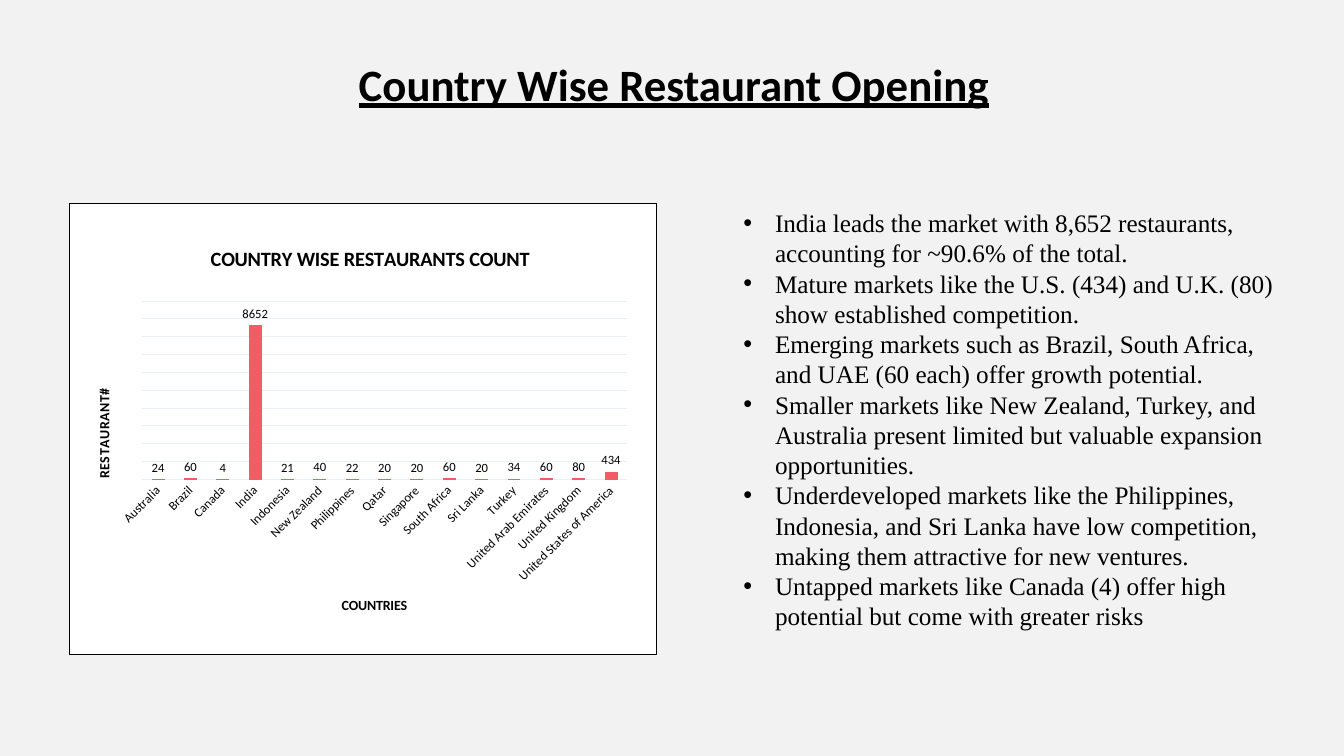
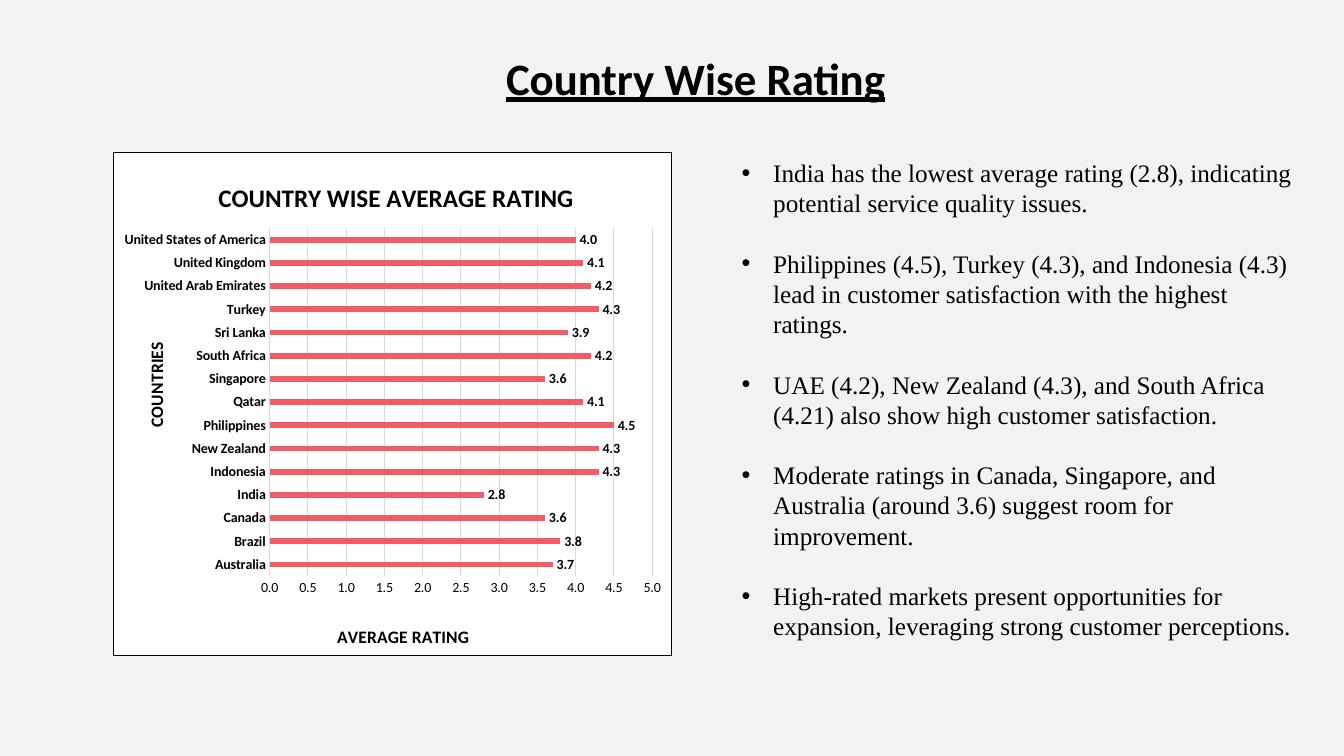
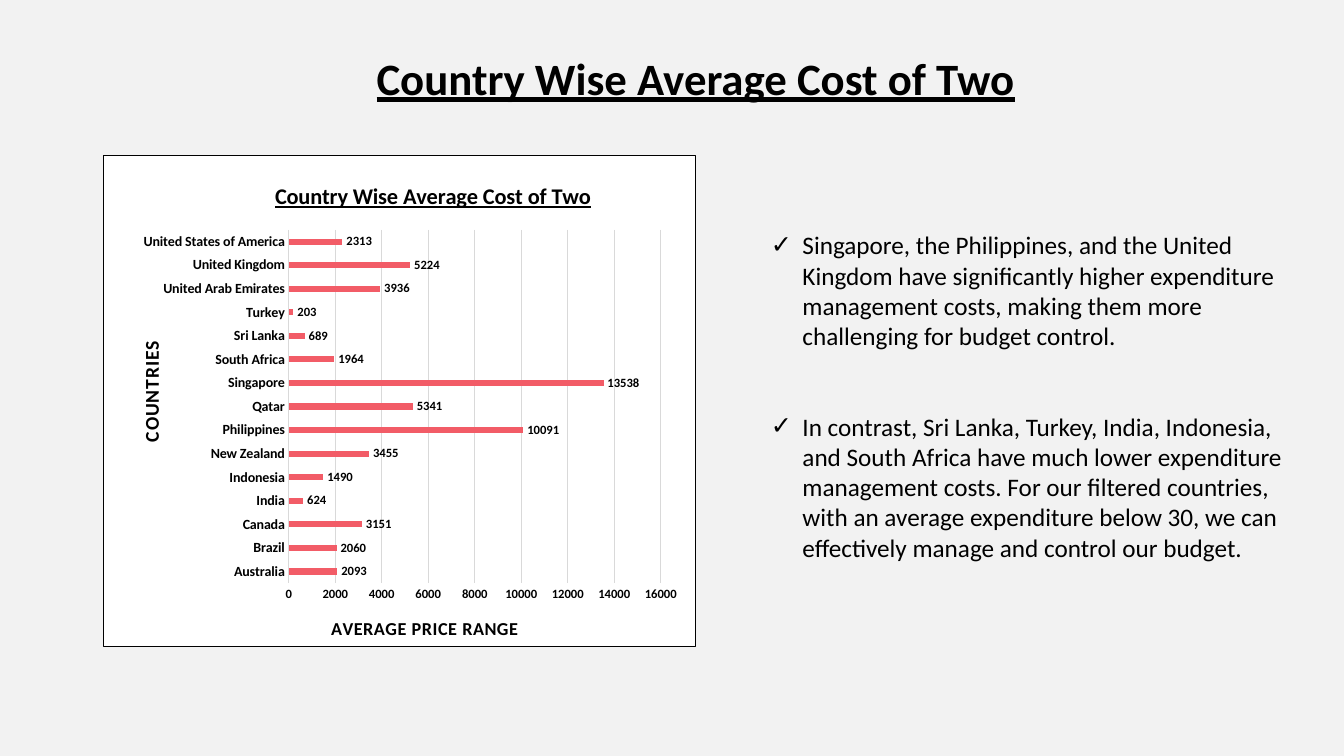
from lxml.etree import SubElement
from pptx import Presentation
from pptx.chart.data import CategoryChartData
from pptx.dml.color import RGBColor
from pptx.enum.chart import XL_CHART_TYPE, XL_LABEL_POSITION, XL_TICK_MARK
from pptx.enum.text import MSO_AUTO_SIZE, PP_ALIGN
from pptx.oxml import parse_xml
from pptx.oxml.ns import nsdecls, qn
from pptx.util import Pt

COLORS = {
    "background": "F2F2F2",
    "panel": "FFFFFF",
    "text": "000000",
    "bar": "F25C67",
    "grid": "D9D9D9",
    "pale_grid": "E9EEF8",
}
SANS, SERIF = "Calibri", "Times New Roman"
LINE_PITCH = 21.6
BULLET_INDENT = 22.5
QUARTER_TURN = -5400000
EIGHTH_TURN = -2700000

COUNTRIES = [
    "Australia", "Brazil", "Canada", "India", "Indonesia", "New Zealand",
    "Philippines", "Qatar", "Singapore", "South Africa", "Sri Lanka", "Turkey",
    "United Arab Emirates", "United Kingdom", "United States of America",
]

# Boxes are (left, top, width, height) in points. Places inside a chart are
# fractions of it: (x, y) for titles, (x, y, width, height) for the plot.
# Chart titles are (text, size, place, letter spacing).
SLIDES = [
    {
        "title": ("Country Wise Restaurant Opening", (240, 36.7, 480, 46)),
        "bullets": {
            "box": (524, 144.7, 402, 312.5), "font": SERIF, "mark": "•", "gap": 0,
            "items": [
                "India leads the market with 8,652 restaurants, accounting for ~90.6% of the total.",
                "Mature markets like the U.S. (434) and U.K. (80) show established competition.",
                "Emerging markets such as Brazil, South Africa, and UAE (60 each) offer growth potential.",
                "Smaller markets like New Zealand, Turkey, and Australia present limited but valuable "
                "expansion opportunities.",
                "Underdeveloped markets like the Philippines, Indonesia, and Sri Lanka have low "
                "competition, making them attractive for new ventures.",
                "Untapped markets like Canada (4) offer high potential but come with greater risks",
            ],
        },
        "chart": {
            "box": (49, 144.7, 420, 323.5),
            "type": XL_CHART_TYPE.COLUMN_CLUSTERED, "gap": 150, "overlap": 0,
            "values": [24, 60, 4, 8652, 21, 40, 22, 20, 20, 60, 20, 34, 60, 80, 434],
            "format": "0", "scale": (10000, 1000), "grid": "pale_grid",
            "plot": (0.124, 0.217, 0.827, 0.395),
            "title": ("COUNTRY WISE RESTAURANTS COUNT", 14.5, (0.235, 0.085), 0),
            "category_title": ("COUNTRIES", 10, (0.46, 0.865), 0),
            "value_title": ("RESTAURANT#", 10, (0.04, 0.405), 50),
            "category_font": (9, False), "value_font": None, "label_font": (9, False),
            "label_skip": 1,
        },
    },
    {
        "title": ("Country Wise Rating", (255.5, 32.4, 480, 46)),
        "bullets": {
            "box": (522.7, 108.7, 414, 356.4), "font": SERIF, "mark": "•", "gap": 1,
            "items": [
                "India has the lowest average rating (2.8), indicating potential service quality issues.",
                "Philippines (4.5), Turkey (4.3), and Indonesia (4.3) lead in customer satisfaction "
                "with the highest ratings.",
                "UAE (4.2), New Zealand (4.3), and South Africa (4.21) also show high customer satisfaction.",
                "Moderate ratings in Canada, Singapore, and Australia (around 3.6) suggest room for "
                "improvement.",
                "High-rated markets present opportunities for expansion, leveraging strong customer "
                "perceptions.",
            ],
        },
        "chart": {
            "box": (80.6, 108.7, 399.6, 360),
            "type": XL_CHART_TYPE.BAR_CLUSTERED, "gap": 287, "overlap": -73,
            "values": [3.7, 3.8, 3.6, 2.8, 4.3, 4.3, 4.5, 4.1, 3.6, 4.2, 3.9, 4.3, 4.2, 4.1, 4],
            "format": "0.0", "scale": (5, 0.5), "grid": "grid",
            "plot": (0.28, 0.15, 0.685, 0.692),
            "title": ("COUNTRY WISE AVERAGE RATING", 18, (0.18, 0.045), 0),
            "category_title": ("COUNTRIES", 12.5, (0.05, 0.37), 0),
            "value_title": ("AVERAGE RATING", 12.5, (0.395, 0.933), 0),
            "category_font": (10, True), "value_font": (10, False), "label_font": (10, True),
            "label_skip": 2,
        },
    },
    {
        "title": ("Country Wise Average Cost of Two", (255.5, 32.4, 480, 46)),
        "bullets": {
            "box": (543.6, 160.5, 398, 247), "font": SANS, "mark": "✓", "gap": 2,
            "items": [
                "Singapore, the Philippines, and the United Kingdom have significantly higher "
                "expenditure management costs, making them more challenging for budget control.",
                "In contrast, Sri Lanka, Turkey, India, Indonesia, and South Africa have much lower "
                "expenditure management costs. For our filtered countries, with an average "
                "expenditure below 30, we can effectively manage and control our budget.",
            ],
        },
        "chart": {
            "box": (73.4, 110.9, 424, 351.4),
            "type": XL_CHART_TYPE.BAR_CLUSTERED, "gap": 287, "overlap": -73,
            "values": [2093, 2060, 3151, 624, 1490, 3455, 10091, 5341, 13538, 1964, 689, 203,
                       3936, 5224, 2313],
            "format": "0", "scale": (16000, 2000), "grid": "grid",
            "plot": (0.313, 0.151, 0.628, 0.72),
            "title": ("Country Wise Average Cost of Two", 16, (0.283, 0.043), 0),
            "title_underline": True,
            "category_title": ("COUNTRIES", 14, (0.052, 0.37), 50),
            "value_title": ("AVERAGE PRICE RANGE", 13, (0.379, 0.933), 50),
            "category_font": (10, True), "value_font": (9, True), "label_font": (9, True),
            "label_skip": 1,
        },
    },
]


def color(name):
    return RGBColor.from_string(COLORS[name])


def style_font(font, size, bold=False, name=SANS):
    font.name, font.size, font.bold = name, Pt(size), bold
    font.color.rgb = color("text")


def add_text_frame(slide, box):
    frame = slide.shapes.add_textbox(*map(Pt, box)).text_frame
    frame.word_wrap = True
    frame.auto_size = MSO_AUTO_SIZE.SHAPE_TO_FIT_TEXT
    return frame


def add_title(slide, text, box):
    paragraph = add_text_frame(slide, box).paragraphs[0]
    paragraph.text = text
    paragraph.alignment = PP_ALIGN.CENTER
    paragraph._p.get_or_add_pPr().set("marL", str(Pt(3)))
    style_font(paragraph.font, 32, True)
    paragraph.font.underline = True


def add_bullets(slide, box, items, font, mark, gap):
    """Add a bulleted list; gap is the number of empty lines between items."""
    frame = add_text_frame(slide, box)
    for index, item in enumerate(items):
        paragraph = frame.add_paragraph() if index else frame.paragraphs[0]
        paragraph.text = item
        paragraph.line_spacing = Pt(LINE_PITCH)
        if index:
            paragraph.space_before = Pt(gap * LINE_PITCH)
        properties = paragraph._p.get_or_add_pPr()
        properties.set("marL", str(Pt(BULLET_INDENT)))
        properties.set("indent", str(-Pt(BULLET_INDENT)))
        SubElement(properties, qn("a:buFont")).set("typeface", "Arial")
        SubElement(properties, qn("a:buChar")).set("char", mark)
        style_font(paragraph.font, 18, name=font)


def set_layout(element, place, inner=False):
    """Pin a chart title or plot area at fractions of the chart."""
    for old in element.findall(qn("c:layout")):
        element.remove(old)
    settings = [("layoutTarget", "inner")] if inner else []
    settings += [("xMode", "edge"), ("yMode", "edge")]
    settings += zip("xywh", place)
    parts = "".join(f'<c:{tag} val="{value}"/>' for tag, value in settings)
    layout = parse_xml(
        f'<c:layout {nsdecls("c")}><c:manualLayout>{parts}</c:manualLayout></c:layout>')
    text = element.find(qn("c:tx"))
    if text is None:
        element.insert(0, layout)
    else:
        text.addnext(layout)


def style_chart_title(title, text, size, place, spacing, upright=False, underline=False):
    frame = title.text_frame
    frame.text = text
    paragraph = frame.paragraphs[0]
    style_font(paragraph.font, size, True)
    paragraph.font.underline = underline
    paragraph._p.pPr.find(qn("a:defRPr")).set("spc", str(spacing))
    frame._txBody.bodyPr.set("rot", str(QUARTER_TURN if upright else 0))
    frame._txBody.bodyPr.set("vert", "horz")
    set_layout(title._element, place)


def frame_chart(chart):
    """Give the chart area its white fill and thin outline."""
    chart._chartSpace.find(qn("c:chart")).addnext(parse_xml(
        f'<c:spPr {nsdecls("c", "a")}>'
        f'<a:solidFill><a:srgbClr val="{COLORS["panel"]}"/></a:solidFill>'
        f'<a:ln w="{Pt(0.75)}"><a:solidFill><a:srgbClr val="{COLORS["text"]}"/></a:solidFill></a:ln>'
        '</c:spPr>'))


def style_axes(chart, spec, is_column):
    category_axis, value_axis = chart.category_axis, chart.value_axis
    for axis, name, upright in ((category_axis, "category", not is_column),
                                (value_axis, "value", is_column)):
        axis.major_tick_mark = axis.minor_tick_mark = XL_TICK_MARK.NONE
        axis.format.line.fill.background()
        style_chart_title(axis.axis_title, *spec[f"{name}_title"], upright=upright)
        if spec[f"{name}_font"]:
            style_font(axis.tick_labels.font, *spec[f"{name}_font"])
        else:
            axis.visible = False

    category_axis.has_major_gridlines = False
    if is_column:
        category_axis._element.txPr.bodyPr.set("rot", str(EIGHTH_TURN))
    offset = category_axis._element.find(qn("c:lblOffset"))
    offset.addnext(parse_xml(f'<c:tickLblSkip {nsdecls("c")} val="{spec["label_skip"]}"/>'))

    value_axis.minimum_scale = 0
    value_axis.maximum_scale, value_axis.major_unit = spec["scale"]
    value_axis.tick_labels.number_format = spec["format"]
    value_axis.tick_labels.number_format_is_linked = False
    value_axis.has_major_gridlines = True
    grid_line = value_axis.major_gridlines.format.line
    grid_line.color.rgb = color(spec["grid"])
    grid_line.width = Pt(0.75)


def style_bars(plot, spec):
    plot.gap_width, plot.overlap = spec["gap"], spec["overlap"]
    plot.vary_by_categories = False
    fill = plot.series[0].format.fill
    fill.solid()
    fill.fore_color.rgb = color("bar")
    plot.has_data_labels = True
    labels = plot.data_labels
    labels.show_value = True
    labels.position = XL_LABEL_POSITION.OUTSIDE_END
    labels.number_format = spec["format"]
    labels.number_format_is_linked = False
    style_font(labels.font, *spec["label_font"])


def add_country_chart(slide, spec):
    data = CategoryChartData()
    data.categories = COUNTRIES
    data.add_series("Series 1", spec["values"])
    chart = slide.shapes.add_chart(spec["type"], *map(Pt, spec["box"]), data).chart
    chart.has_legend = False
    style_font(chart.font, 10)
    frame_chart(chart)
    style_chart_title(chart.chart_title, *spec["title"],
                      underline=spec.get("title_underline", False))
    style_axes(chart, spec, spec["type"] == XL_CHART_TYPE.COLUMN_CLUSTERED)
    style_bars(chart.plots[0], spec)
    set_layout(chart._chartSpace.chart.plotArea, spec["plot"], inner=True)


def add_country_slide(presentation, content):
    slide = presentation.slides.add_slide(presentation.slide_layouts[6])
    slide.background.fill.solid()
    slide.background.fill.fore_color.rgb = color("background")
    add_title(slide, *content["title"])
    add_bullets(slide, **content["bullets"])
    add_country_chart(slide, content["chart"])


def main():
    presentation = Presentation()
    presentation.slide_width, presentation.slide_height = Pt(960), Pt(540)
    for content in SLIDES:
        add_country_slide(presentation, content)
    presentation.save("out.pptx")


if __name__ == "__main__":
    main()
